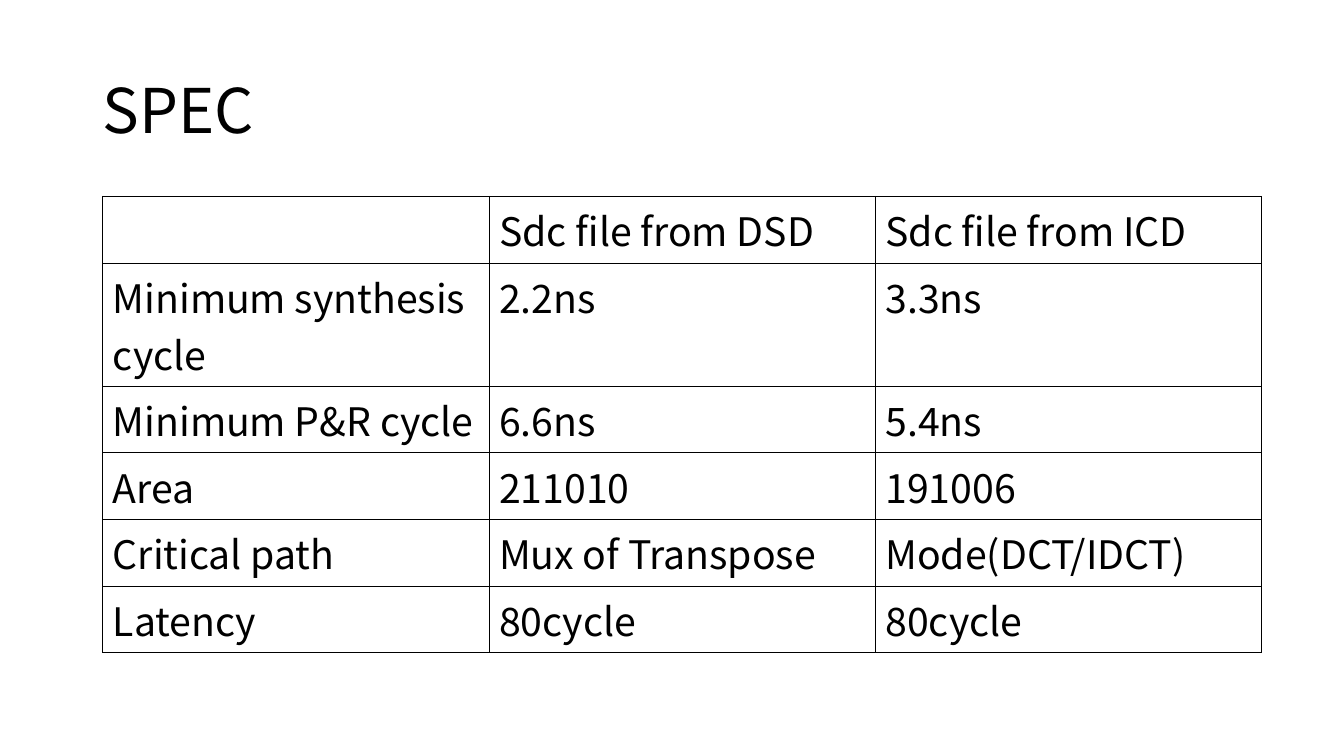
import pptx
import pptx.util
import pptx.dml.color
import pptx.enum.text
import pptx.oxml
import pptx.oxml.ns

Cm = pptx.util.Cm
Pt = pptx.util.Pt
INK = {"text": "000000", "line": "000000"}
FONT = "Noto Sans CJK SC"


def write(frame, text, size=28, color="text", space=1.0):
    para = frame.paragraphs[0]
    para.line_spacing = space
    run = para.add_run()
    run.text = text
    run.font.size = Pt(size)
    run.font.name = FONT
    run.font.color.rgb = pptx.dml.color.RGBColor.from_string(INK[color])


class Deck:
    def __init__(self, wide, high):
        self.show = pptx.Presentation()
        self.show.slide_width = Cm(wide)
        self.show.slide_height = Cm(high)
        self.slide = self.show.slides.add_slide(self.show.slide_layouts[6])

    def title(self, text, left, top, wide, high):
        box = self.slide.shapes.add_textbox(Cm(left), Cm(top), Cm(wide), Cm(high))
        frame = box.text_frame
        frame.word_wrap = True
        frame.vertical_anchor = pptx.enum.text.MSO_ANCHOR.MIDDLE
        write(frame, text, size=44, space=0.9)

    def border(self, cell):
        props = cell._tc.get_or_add_tcPr()
        for side in ("lnL", "lnR", "lnT", "lnB"):
            props.append(pptx.oxml.parse_xml(
                f'<a:{side} {pptx.oxml.ns.nsdecls("a")} w="{Pt(1)}">'
                f'<a:solidFill><a:srgbClr val="{INK["line"]}"/></a:solidFill>'
                f'</a:{side}>'))

    def table(self, rows, left, top, wide, highs):
        grid = self.slide.shapes.add_table(
            len(rows), len(rows[0]), Cm(left), Cm(top), Cm(wide), Cm(sum(highs))).table
        grid.first_row = False
        grid.horz_banding = False
        for row, high in zip(grid.rows, highs):
            row.height = Cm(high)
        for r, row in enumerate(rows):
            for c, text in enumerate(row):
                cell = grid.cell(r, c)
                self.border(cell)
                cell.fill.background()
                write(cell.text_frame, text)


SPECS = [
    ("", "Sdc file from DSD", "Sdc file from ICD"),
    ("Minimum synthesis cycle", "2.2ns", "3.3ns"),
    ("Minimum P&R cycle", "6.6ns", "5.4ns"),
    ("Area", "211010", "191006"),
    ("Critical path", "Mux of Transpose", "Mode(DCT/IDCT)"),
    ("Latency", "80cycle", "80cycle"),
]

deck = Deck(33.87, 19.05)
deck.title("SPEC", 2.33, 1.01, 29.21, 3.68)
deck.table(SPECS, 2.59, 4.95, 29.21, [1.68, 3.1] + [1.68] * 4)
deck.show.save("out.pptx")
